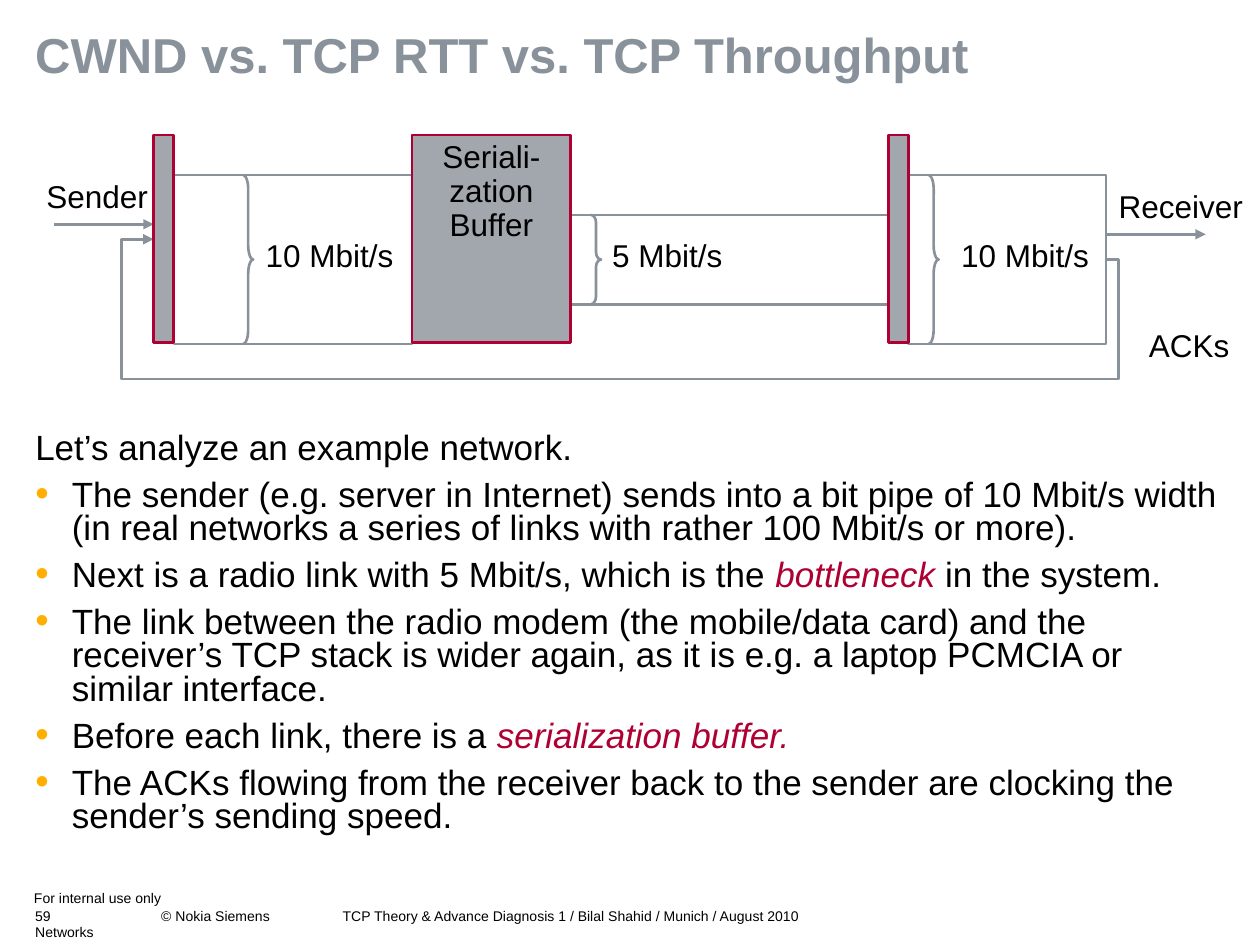
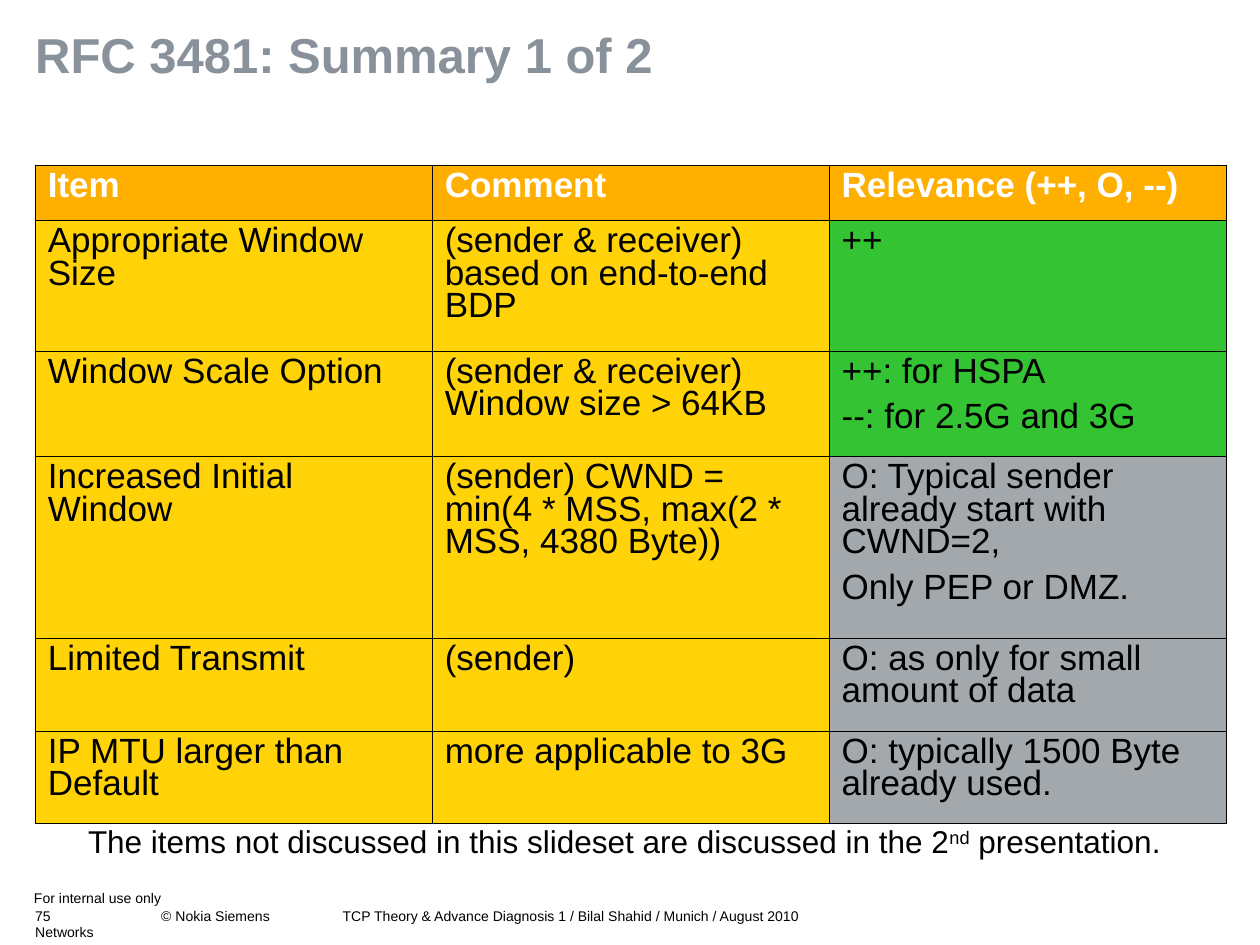
from collections import namedtuple
from pptx import Presentation
from pptx.dml.color import RGBColor as Rgb
from pptx.enum.shapes import MSO_CONNECTOR as Link, MSO_SHAPE as Form
from pptx.enum.text import MSO_ANCHOR as Anchor, MSO_AUTO_SIZE as Auto, PP_ALIGN as Align
from pptx.oxml.ns import qn
from pptx.util import Emu, Inches, Pt
from lxml.etree import SubElement as Sub

UNIT = Inches(0.1)
COLS, ROWS = 100, 75
FONT = "Arial"
BLACK = Rgb(0x00, 0x00, 0x00)
WHITE = Rgb(0xFF, 0xFF, 0xFF)
SLATE = Rgb(0x89, 0x92, 0x9B)
STEEL = Rgb(0xA2, 0xA6, 0xAD)
RED = Rgb(0xAF, 0x00, 0x33)
AMBER = Rgb(0xFF, 0xAF, 0x00)
YELLOW = Rgb(0xFF, 0xD3, 0x08)
GREEN = Rgb(0x34, 0xC3, 0x33)
GREY = Rgb(0xA3, 0xA8, 0xAD)

Box = namedtuple("Box", "x y w h")
Style = namedtuple("Style", "size color bold gap before", defaults=(BLACK, False, 0.9, 0))
TITLE = Style(28, SLATE, True)
LABEL = Style(18)
BODY = Style(20, gap=0.8, before=7.5)
CELL = Style(20, gap=0.83, before=7.5)
HEAD = CELL._replace(color=WHITE, bold=True)
SMALL = Style(8, gap=1.0)

INTRO = [
    ["Let’s analyze an example network."],
    ["The sender (e.g. server in Internet) sends into a bit pipe of 10 Mbit/s width "
     "(in real networks a series of links with rather 100 Mbit/s or more)."],
    ["Next is a radio link with 5 Mbit/s, which is the ", ("bottleneck", "key"), " in the system."],
    ["The link between the radio modem (the mobile/data card) and the receiver’s TCP stack "
     "is wider again, as it is e.g. a laptop PCMCIA or similar interface."],
    ["Before each link, there is a ", ("serialization buffer.", "key")],
    ["The ACKs flowing from the receiver back to the sender are clocking "
     "the sender’s sending speed."],
]

ITEMS = [
    (4.4, AMBER, "Item", "Comment", "Relevance (++, O, --)"),
    (10.35, GREEN, "Appropriate Window Size", "(sender & receiver) based on end-to-end BDP", "++"),
    (8.4, GREEN, "Window Scale Option", "(sender & receiver) Window size > 64KB",
     "++: for HSPA", "--: for 2.5G and 3G"),
    (14.4, GREY, "Increased Initial Window", "(sender) CWND = min(4 * MSS, max(2 * MSS, 4380 Byte))",
     "O: Typical sender already start with CWND=2,", "Only PEP or DMZ."),
    (7.4, GREY, "Limited Transmit", "(sender)", "O: as only for small amount of data"),
    (7.35, GREY, "IP MTU larger than Default", "more applicable to 3G",
     "O: typically 1500 Byte already used."),
]


def emu(*sizes):
    """Turn grid units into slide lengths."""
    return [Emu(round(size * UNIT)) for size in sizes]


def within(box, x, y, w=0, h=0):
    """Return a part placed relative to the corner of a box."""
    return Box(box.x + x, box.y + y, w, h)


def write(frame, paras, style, align=Align.LEFT):
    """Fill a text frame with paragraphs, run by run."""
    for i, parts in enumerate(paras):
        para = frame.paragraphs[0] if i == 0 else frame.add_paragraph()
        para.alignment = align
        para.line_spacing = style.gap
        para.space_before = Pt(style.before if i else 0)
        for part in parts:
            words, kind = part if isinstance(part, tuple) else (part, "")
            run = para.add_run()
            run.text = words
            font = run.font
            font.name, font.size, font.bold = FONT, Pt(style.size), style.bold
            font.italic = kind == "key"
            font.color.rgb = RED if kind == "key" else style.color
            if kind == "sup":
                run._r.get_or_add_rPr().set("baseline", "30000")


def text(slide, box, paras, style, pad=0):
    """Add a text box that wraps."""
    frame = slide.shapes.add_textbox(*emu(*box)).text_frame
    frame.word_wrap = True
    frame.margin_left = frame.margin_right = Inches(pad)
    frame.margin_top = frame.margin_bottom = Inches(pad / 2)
    write(frame, paras, style)
    return frame


def label(slide, box, *parts):
    """Add a label that stays on one line."""
    frame = text(slide, box, [parts], LABEL, 0.1)
    frame.word_wrap = False
    frame.auto_size = Auto.SHAPE_TO_FIT_TEXT


def shape(slide, form, box, fill, edge):
    """Add a preset shape with a plain outline."""
    item = slide.shapes.add_shape(form, *emu(*box))
    item.shadow.inherit = False
    if fill is None:
        item.fill.background()
    else:
        item.fill.solid()
        item.fill.fore_color.rgb = fill
    item.line.color.rgb = edge
    item.line.width = Pt(1.5)
    return item


def arrow(slide, kind, start, end):
    """Add a connector with an arrowhead at its end."""
    line = slide.shapes.add_connector(kind, *emu(start.x, start.y, end.x, end.y))
    line.line.color.rgb = SLATE
    line.line.width = Pt(1.5)
    Sub(line.line._get_or_add_ln(), qn("a:tailEnd"), type="triangle")
    Sub(line._element.spPr, qn("a:effectLst"))
    return line


def loop(slide, start, end, right, low, left):
    """Lead an arrow around below the network, back to the sender."""
    line = arrow(slide, Link.ELBOW, start, end)
    geom = line._element.spPr.find(qn("a:prstGeom"))
    geom.set("prst", "bentConnector5")
    guides = geom.find(qn("a:avLst"))
    if guides is None:
        guides = Sub(geom, qn("a:avLst"))
    wide, tall = start.x - end.x, start.y - end.y
    turns = ((start.x - right) / wide, (start.y - low) / tall, (start.x - left) / wide)
    for i, turn in enumerate(turns, 1):
        Sub(guides, qn("a:gd"), name=f"adj{i}", fmla=f"val {round(turn * 100000)}")


def pipe(slide, box, brace, note, words):
    """Draw a link as a pipe, with a brace and its bit rate."""
    shape(slide, Form.RECTANGLE, box, WHITE, SLATE)
    mark = shape(slide, Form.RIGHT_BRACE, within(box, brace, 0, 0.8, box.h), None, SLATE)
    mark.adjustments[0] = box.h / 12 / 0.8
    wide = 12.2 if words.startswith("10") else 10.8
    label(slide, within(box, note, box.h / 2 - 2, wide, 3.7), words)


def network(slide, box):
    """Draw the path from sender to receiver and back."""
    mid, bar, tall = 9.9, 1.6, 16.5
    for x, w, h, brace, note, words in (
            (11.1, 18.9, 13.4, 5.5, 6.3, "10 Mbit/s"),
            (42.6, 25.2, 7.1, 1.6, 2.3, "5 Mbit/s"),
            (69.4, 15.7, 13.4, 1.6, 3.2, "10 Mbit/s")):
        pipe(slide, within(box, x, mid - h / 2, w, h), brace, note, words)
    for x, y, w, words in ((0, 3.2, 10.1, "Sender"), (85.1, 4, 11.9, "Receiver"), (87.5, 15, 8.4, "ACKs")):
        label(slide, within(box, x, y, w, 3.7), words)
    for x, y in ((1.6, 7.1), (85.1, 7.9)):
        arrow(slide, Link.STRAIGHT, within(box, x, y), within(box, x + 7.9, y))
    loop(slide, within(box, 85.1, mid), within(box, 9.5, 8.3),
         box.x + 86.1, box.y + box.h, box.x + 6.9)
    for x, w in ((9.5, bar), (67.8, bar), (30, 12.6)):
        queue = shape(slide, Form.RECTANGLE, within(box, x, 0, w, tall), STEEL, RED)
    frame = queue.text_frame
    frame.word_wrap = True
    frame.vertical_anchor = Anchor.TOP
    write(frame, [["Seriali-zation Buffer"]], LABEL, Align.CENTER)


def bullet(para):
    """Give a paragraph an amber bullet and a hanging indent."""
    props = para._p.get_or_add_pPr()
    props.set("marL", str(Inches(0.29)))
    props.set("indent", str(-Inches(0.29)))
    tint = Sub(props, qn("a:buClr"))
    Sub(tint, qn("a:srgbClr"), val=str(AMBER))
    Sub(props, qn("a:buSzPct"), val="110000")
    Sub(props, qn("a:buFont"), typeface=FONT)
    Sub(props, qn("a:buChar"), char="•")


def story(slide, box):
    """Write the intro line and its bullets."""
    frame = text(slide, box, INTRO, BODY)
    for para in frame.paragraphs[1:]:
        bullet(para)


def border(cell, outer):
    """Rule a cell, heavier on the sides that face outward."""
    props = cell._tc.get_or_add_tcPr()
    for side in "LRTB":
        width = Pt(0.5 if side in outer else 0.23)
        line = Sub(props, qn(f"a:ln{side}"), w=str(width))
        Sub(Sub(line, qn("a:solidFill")), qn("a:srgbClr"), val=str(BLACK))


def grid(slide, box):
    """Build the table of items."""
    count = len(ITEMS)
    table = slide.shapes.add_table(count, 3, *emu(*box)).table
    table.horz_banding = False
    for col in table.columns:
        col.width = emu(box.w / 3)[0]
    for r, (tall, tint, item, note, *rank) in enumerate(ITEMS):
        table.rows[r].height = emu(tall)[0]
        rows = ("T" if r == 0 else "") + ("B" if r == count - 1 else "")
        for c, lines in enumerate(([item], [note], rank)):
            cell = table.cell(r, c)
            border(cell, rows + ("L", "", "R")[c])
            cell.fill.solid()
            cell.fill.fore_color.rgb = tint if r == 0 or c == 2 else YELLOW
            write(cell.text_frame, [[line] for line in lines], CELL if r else HEAD)


def footer(slide, box, page):
    """Write the usage note, page number, copyright and talk."""
    text(slide, within(box, 0, 0, 33.3, 1.5), [["For internal use only"]], SMALL)
    frame = text(slide, within(box, 0.1, 1.4, 23.3, 2.7), [[f"{page}\t© Nokia Siemens Networks"]], SMALL)
    tabs = Sub(frame.paragraphs[0]._p.get_or_add_pPr(), qn("a:tabLst"))
    Sub(tabs, qn("a:tab"), pos=str(Inches(1)), algn="l")
    text(slide, within(box, 24.5, 1.4, 41.7, 1.3),
         [["TCP Theory & Advance Diagnosis 1 / Bilal Shahid / Munich / August 2010"]], SMALL)


def base(deck, title, page):
    """Add a blank slide with the shared title and footer."""
    slide = deck.slides.add_slide(deck.slide_layouts[6])
    text(slide, Box(2.8, 2.5, 94.4, 9), [[title]], TITLE)
    footer(slide, Box(2.7, 70.6, 66.2, 4.1), page)
    return slide


def main():
    """Build both slides and save the deck."""
    deck = Presentation()
    deck.slide_width, deck.slide_height = emu(COLS, ROWS)
    slide = base(deck, "CWND vs. TCP RTT vs. TCP Throughput", 59)
    network(slide, Box(2.7, 10.7, 96.9, 19.4))
    story(slide, Box(2.8, 34.4, 94.5, 32.3))
    slide = base(deck, "RFC 3481: Summary 1 of 2", 75)
    grid(slide, Box(2.8, 13.1, 94.5, 52.3))
    label(slide, Box(6, 65.1, 87.1, 3.7),
          "The items not discussed in this slideset are discussed in the 2", ("nd", "sup"), " presentation.")
    deck.save("out.pptx")


if __name__ == "__main__":
    main()
